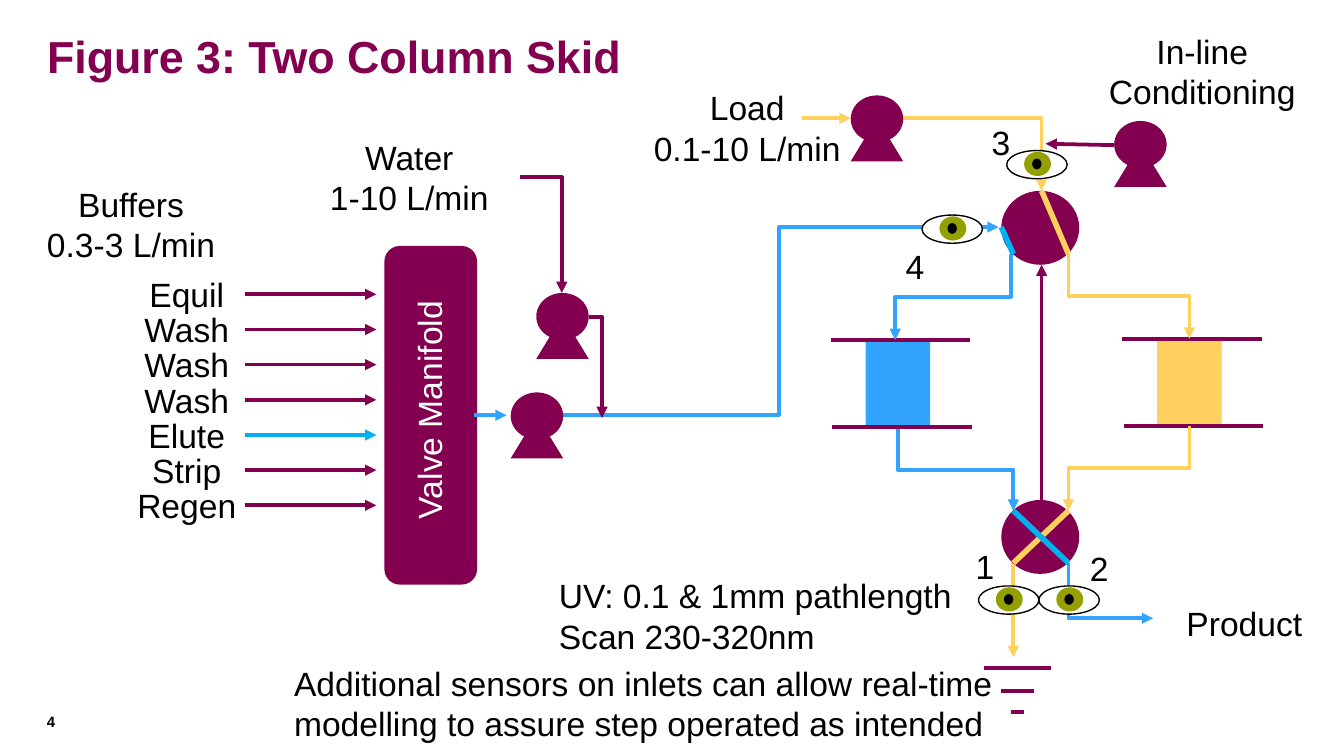
from dataclasses import dataclass
from typing import NamedTuple

from lxml.etree import SubElement
from pptx import Presentation
from pptx.dml.color import RGBColor
from pptx.enum.shapes import MSO_CONNECTOR as Link, MSO_SHAPE as Preset
from pptx.enum.text import MSO_ANCHOR as Anchor, PP_ALIGN as Align
from pptx.oxml.ns import qn
from pptx.util import Inches, Pt


@dataclass(frozen=True)
class Theme:
    plum: str = "830051"
    blue: str = "32A4FF"
    cyan: str = "00B0F0"
    gold: str = "FFD05D"
    olive: str = "93A000"
    black: str = "000000"
    white: str = "FFFFFF"
    font: str = "Arial"
    title: float = 24
    label: float = 18
    number: float = 8
    pipe: float = 2
    channel: float = 3
    outline: float = 0.75


class Point(NamedTuple):
    x: float
    y: float


class Box(NamedTuple):
    left: float
    top: float
    width: float
    height: float


class Pipe(NamedTuple):
    start: Point
    end: Point
    color: str


class Elbow(NamedTuple):
    start: Point
    end: Point
    color: str
    preset: str
    down_first: bool = False


class Label(NamedTuple):
    text: str
    box: Box
    align: Align = Align.LEFT
    wrap: bool = True


class Valve(NamedTuple):
    box: Box
    channels: tuple[Pipe, ...]


THEME = Theme()
STEPS = ("Equil", "Wash", "Wash", "Wash", "Elute", "Strip", "Regen")
STEPS_SPAN = 1.57
PUMPS = (Point(6.33, 0.71), Point(3.8, 2.92), Point(3.99, 2.18), Point(8.29, 0.9))
EYES = (Point(7.28, 4.36), Point(7.73, 4.36), Point(7.49, 1.12), Point(6.86, 1.6))
COLUMNS = ((Point(6.18, 2.53), THEME.blue), (Point(8.35, 2.52), THEME.gold))
DRAIN = ((4.97, 0.5), (5.14, 0.25), (5.3, 0.1))

ELBOWS = (
    Elbow(Point(6.71, 0.88), Point(7.75, 1.42), THEME.gold, "bentConnector2"),
    Elbow(Point(7.52, 1.89), Point(6.66, 2.53), THEME.blue, "bentConnector3", True),
    Elbow(Point(7.95, 1.89), Point(8.85, 2.52), THEME.gold, "bentConnector3", True),
    Elbow(Point(6.68, 3.19), Point(7.54, 3.8), THEME.blue, "bentConnector3", True),
    Elbow(Point(8.85, 3.17), Point(7.95, 3.8), THEME.gold, "bentConnector3", True),
    Elbow(Point(7.95, 4.19), Point(8.58, 4.6), THEME.blue, "bentConnector2", True),
    Elbow(Point(4.16, 3.09), Point(7.43, 1.69), THEME.blue, "bentConnector3"),
    Elbow(Point(4.38, 2.36), Point(4.48, 3.11), THEME.plum, "bentConnector2"),
    Elbow(Point(3.87, 1.32), Point(4.18, 2.18), THEME.plum, "bentConnector2"),
)
PIPES = (
    Pipe(Point(7.54, 4.19), Point(7.54, 4.89), THEME.gold),
    Pipe(Point(3.53, 3.09), Point(3.77, 3.09), THEME.blue),
    Pipe(Point(5.97, 0.88), Point(6.33, 0.88), THEME.gold),
    Pipe(Point(7.75, 3.72), Point(7.75, 1.97), THEME.plum),
    Pipe(Point(8.29, 1.08), Point(7.78, 1.07), THEME.plum),
)
VALVES = (
    Valve(Box(7.45, 1.42, 0.58, 0.55), (
        Pipe(Point(7.75, 1.42), Point(7.95, 1.89), THEME.gold),
        Pipe(Point(7.45, 1.69), Point(7.54, 1.89), THEME.cyan))),
    Valve(Box(7.45, 3.72, 0.58, 0.55), (
        Pipe(Point(7.95, 3.8), Point(7.54, 4.19), THEME.gold),
        Pipe(Point(7.54, 3.8), Point(7.95, 4.19), THEME.cyan))),
)
LABELS = (
    Label("Water\n1-10 L/min", Box(2.22, 0.97, 1.65, 0.71), Align.CENTER),
    Label("Buffers\n0.3-3 L/min", Box(0.15, 1.32, 1.65, 0.71), Align.CENTER),
    Label("Load\n0.1-10 L/min", Box(4.76, 0.6, 1.6, 1.01), Align.CENTER, False),
    Label("In-line Conditioning", Box(8.14, 0.18, 1.61, 0.71), Align.CENTER),
    Label("Product", Box(8.73, 4.44, 1.07, 0.4), wrap=False),
    Label("Additional sensors on inlets can allow real-time modelling to assure "
          "step operated as intended", Box(2.09, 4.88, 5.63, 0.71)),
    Label("UV: 0.1 & 1mm pathlength\nScan 230-320nm", Box(4.06, 4.23, 3.15, 0.71), wrap=False),
    Label("1", Box(7.16, 4.01, 0.21, 0.4)),
    Label("2", Box(8.01, 4.03, 0.21, 0.4)),
    Label("3", Box(7.28, 0.86, 0.27, 0.4)),
    Label("4", Box(6.64, 1.78, 0.27, 0.4)),
)


def color_of(value: str) -> RGBColor:
    """Turn a hex string into a colour."""
    return RGBColor.from_string(value)


def write(frame, text: str, *, size=THEME.label, color=THEME.black, bold=False,
          align=Align.LEFT, wrap=True) -> None:
    """Fill a text frame, one paragraph a line."""
    frame.text = text
    frame.word_wrap = wrap
    for para in frame.paragraphs:
        para.alignment = align
        para.font.name, para.font.size, para.font.bold = THEME.font, Pt(size), bold
        para.font.color.rgb = color_of(color)


def add_label(page, label: Label, **style):
    """Place a label in its own text box."""
    box = page.shapes.add_textbox(*map(Inches, label.box))
    write(box.text_frame, label.text, align=label.align, wrap=label.wrap, **style)
    return box


def add_solid(shapes, preset: Preset, box: Box, color: str, outline: str = ""):
    """Draw a filled preset shape."""
    shape = shapes.add_shape(preset, *map(Inches, box))
    shape.shadow.inherit = False
    shape.fill.solid()
    shape.fill.fore_color.rgb = color_of(color)
    if outline:
        shape.line.color.rgb = color_of(outline)
        shape.line.width = Pt(THEME.outline)
    else:
        shape.line.fill.background()
    return shape


def add_pipe(shapes, pipe: Pipe, width: float = THEME.pipe, arrow: bool = True,
             link: Link = Link.STRAIGHT):
    """Draw a connector, with an arrowhead if wanted."""
    line = shapes.add_connector(link, *map(Inches, (*pipe.start, *pipe.end)))
    line.line.color.rgb = color_of(pipe.color)
    line.line.width = Pt(width)
    properties = line.element.spPr
    if arrow:
        SubElement(properties.find(qn("a:ln")), qn("a:tailEnd"), type="triangle")
    SubElement(properties, qn("a:effectLst"))
    return line


def add_elbow(shapes, elbow: Elbow) -> None:
    """Draw a bent connector, turned on its side if it sets off downwards."""
    start, end = elbow.start, elbow.end
    if elbow.down_first:
        middle = Point((start.x + end.x) / 2, (start.y + end.y) / 2)
        half = Point(abs(end.y - start.y) / 2, abs(end.x - start.x) / 2)
        start = Point(middle.x - half.x, middle.y - half.y)
        end = Point(middle.x + half.x, middle.y + half.y)
    line = add_pipe(shapes, Pipe(start, end, elbow.color), link=Link.ELBOW)
    properties = line.element.spPr
    properties.find(qn("a:prstGeom")).set("prst", elbow.preset)
    if elbow.down_first:
        rightward = elbow.end.x > elbow.start.x
        frame = properties.find(qn("a:xfrm"))
        frame.set("rot", str((270 if rightward else 90) * 60000))
        if rightward:
            frame.set("flipH", "1")


def add_pump(page, at: Point) -> None:
    """Draw a pump: a round head on a triangular foot."""
    group = page.shapes.add_group_shape().shapes
    add_solid(group, Preset.OVAL, Box(at.x, at.y, 0.39, 0.35), THEME.plum)
    add_solid(group, Preset.ISOSCELES_TRIANGLE, Box(at.x, at.y + 0.17, 0.39, 0.32), THEME.plum)


def add_eye(page, at: Point) -> None:
    """Draw a sensor eye."""
    group = page.shapes.add_group_shape().shapes
    add_solid(group, Preset.OVAL, Box(*at, 0.45, 0.21), THEME.white, THEME.black)
    add_solid(group, Preset.OVAL, Box(at.x + 0.13, at.y + 0.01, 0.2, 0.18), THEME.olive)
    add_solid(group, Preset.OVAL, Box(at.x + 0.19, at.y + 0.06, 0.07, 0.08), THEME.black)


def add_column(page, at: Point, color: str) -> None:
    """Draw a column between its two end plates."""
    group = page.shapes.add_group_shape().shapes
    add_solid(group, Preset.RECTANGLE, Box(at.x + 0.26, at.y, 0.48, 0.65), color)
    for shift, y in ((0, at.y), (0.01, at.y + 0.65)):
        left = at.x + shift
        add_pipe(group, Pipe(Point(left, y), Point(left + 1.04, y), THEME.plum), arrow=False)


def add_valve(page, valve: Valve) -> None:
    """Draw a valve with its channels."""
    group = page.shapes.add_group_shape().shapes
    add_solid(group, Preset.OVAL, valve.box, THEME.plum)
    for channel in valve.channels:
        add_pipe(group, channel, THEME.channel, arrow=False)


def add_manifold(page) -> None:
    """Draw the valve manifold and the buffers that feed it."""
    add_solid(page.shapes, Preset.ROUNDED_RECTANGLE, Box(2.86, 1.83, 0.69, 2.52), THEME.plum)
    name = Label("Valve Manifold", Box(2.27, 2.84, 1.84, 0.4), wrap=False)
    add_label(page, name, color=THEME.white).rotation = 270
    for index, step in enumerate(STEPS):
        drop = index * STEPS_SPAN / (len(STEPS) - 1)
        color = THEME.cyan if step == "Elute" else THEME.plum
        add_pipe(page.shapes, Pipe(Point(1.82, 2.19 + drop), Point(2.8, 2.19 + drop), color))
        add_label(page, Label(step, Box(0.91, 1.99 + drop, 0.96, 0.4), Align.CENTER, False))


def main() -> None:
    """Build the slide and save it."""
    deck = Presentation()
    deck.slide_width, deck.slide_height = Inches(10), Inches(10 * 9 / 16)
    page = deck.slides.add_slide(deck.slide_layouts[5])
    title = page.shapes.title
    title.left, title.top, title.width, title.height = map(Inches, (0.25, 0.16, 9.59, 0.55))
    write(title.text_frame, "Figure 3: Two Column Skid", size=THEME.title,
          color=THEME.plum, bold=True)
    title.text_frame.vertical_anchor = Anchor.TOP
    number = add_label(page, Label("4", Box(0.35, 5.3, 0.43, 0.18)), size=THEME.number, bold=True)
    frame = number.text_frame
    frame.margin_left = frame.margin_top = frame.margin_right = frame.margin_bottom = 0
    add_manifold(page)
    for at, color in COLUMNS:
        add_column(page, at, color)
    for elbow in ELBOWS:
        add_elbow(page.shapes, elbow)
    for pipe in PIPES:
        add_pipe(page.shapes, pipe)
    drain = page.shapes.add_group_shape().shapes
    for y, width in DRAIN:
        ends = Point(7.57 - width / 2, y), Point(7.57 + width / 2, y)
        add_pipe(drain, Pipe(*ends, THEME.plum), arrow=False)
    for at in PUMPS:
        add_pump(page, at)
    for valve in VALVES:
        add_valve(page, valve)
    for at in EYES:
        add_eye(page, at)
    for label in LABELS:
        add_label(page, label)
    deck.save("out.pptx")


if __name__ == "__main__":
    main()
